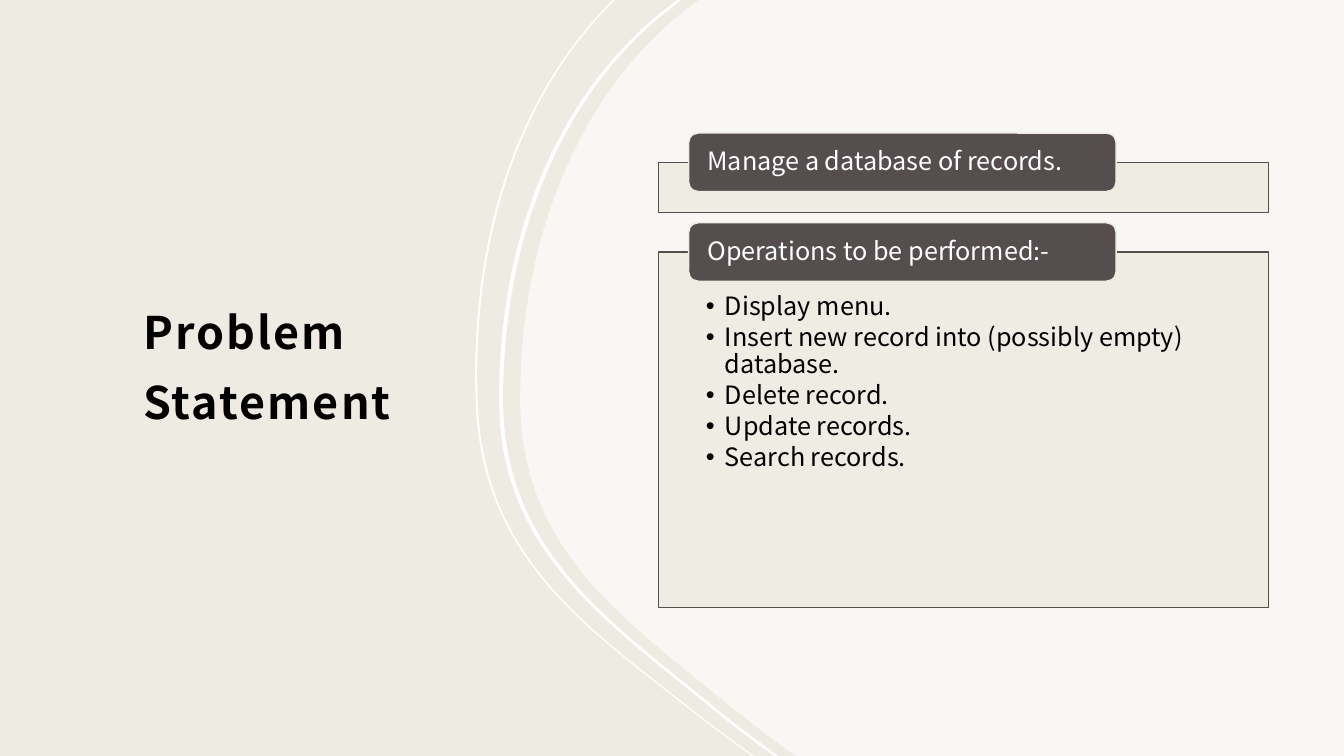
from lxml import etree
from pptx import Presentation
from pptx.dml.color import RGBColor
from pptx.enum.shapes import MSO_SHAPE
from pptx.enum.text import MSO_ANCHOR, PP_ALIGN
from pptx.oxml.ns import qn
from pptx.util import Inches, Pt

RECTANGLE, ROUNDED = MSO_SHAPE.RECTANGLE, MSO_SHAPE.ROUNDED_RECTANGLE
TOP, MIDDLE = MSO_ANCHOR.TOP, MSO_ANCHOR.MIDDLE
LEFT = PP_ALIGN.LEFT

FONT, BULLET_FONT = "Noto Sans CJK JP", "Arial"
CREAM, BROWN, WHITE, BLACK = "EEEBE2", "564E4E", "FFFFFF", "000000"
SLIDE_WIDTH, SLIDE_HEIGHT = 13.33, 7.5

# Each edge is a chain of cubic curves: a start point, then three points per curve.
PANEL_EDGE = [(6.93, 0), (5.79, 0.82), (5.16, 2.29), (5.16, 3.96),
              (5.16, 5.44), (6.17, 6.13), (7.21, 6.98),
              (7.4, 7.13), (7.65, 7.33), (7.89, 7.5)]
OUTER_EDGE = [(6.08, 0), (5.12, 0.94), (4.65, 2.4), (4.72, 4.02),
              (4.79, 5.55), (5.82, 6.23), (6.87, 7.06),
              (7.06, 7.21), (7.25, 7.35), (7.46, 7.5)]
INNER_EDGE = [(6.72, 0), (5.57, 0.83), (4.95, 2.29), (4.95, 3.96),
              (4.95, 5.43), (5.96, 6.13), (6.99, 6.97),
              (7.18, 7.13), (7.44, 7.33), (7.68, 7.5)]

OPERATIONS = ["Display menu.",
              "Insert new record into (possibly empty) database.",
              "Delete record.", "Update records.", "Search records."]


def color(hex_string):
    return RGBColor.from_string(hex_string)


def paint(shape, fill, line=None, opacity=100):
    shape.shadow.inherit = False
    shape.fill.solid()
    shape.fill.fore_color.rgb = color(fill)
    if opacity < 100:
        solid = shape.fill._xPr.find(qn("a:solidFill"))
        etree.SubElement(solid[0], qn("a:alpha"), val=str(opacity * 1000))
    if line:
        shape.line.color.rgb = color(line)
        shape.line.width = Pt(1)
    else:
        shape.line.fill.background()


def set_frame(shape, insets, anchor):
    frame = shape.text_frame
    frame.word_wrap = True
    frame.vertical_anchor = anchor
    (frame.margin_left, frame.margin_top,
     frame.margin_right, frame.margin_bottom) = map(Inches, insets)
    return frame


def write(para, text, size, text_color, spacing, bold=False):
    para.text = text
    para.alignment = LEFT
    para.line_spacing = spacing
    span = para.runs[0]
    span.font.name = FONT
    span.font.size = Pt(size)
    span.font.bold = bold
    span.font.color.rgb = color(text_color)
    return span


def add_bullet(para):
    properties = para._p.get_or_add_pPr()
    properties.set("marL", str(Inches(0.19)))
    properties.set("indent", str(-Inches(0.19)))
    etree.SubElement(properties, qn("a:buFont"), typeface=BULLET_FONT)
    etree.SubElement(properties, qn("a:buChar"), char="•")


def curves(edge):
    """Split an edge into one three-point segment per curve."""
    return [edge[i:i + 3] for i in range(1, len(edge), 3)]


def add_outline(slide, start, segments, opacity=100):
    """Closed shape of segments: one point for a line, three for a cubic curve."""
    def to_emu(point):
        return Inches(point[0]), Inches(point[1])

    builder = slide.shapes.build_freeform(*to_emu(start))
    builder.add_line_segments([to_emu(segment[-1]) for segment in segments])
    shape = builder.convert_to_shape()
    lines = list(shape._element.iter(qn("a:lnTo")))
    for line, segment in zip(lines, segments):
        if len(segment) == 3:
            curve = etree.Element(qn("a:cubicBezTo"))
            for x, y in map(to_emu, segment):
                etree.SubElement(curve, qn("a:pt"),
                                 x=str(x - shape.left), y=str(y - shape.top))
            line.getparent().replace(line, curve)
    paint(shape, WHITE, opacity=opacity)


def add_ribbon(slide, edge, width):
    back = [(x + width, y) for x, y in reversed(edge)]
    add_outline(slide, edge[0], curves(edge) + [back[:1]] + curves(back))


def add_backdrop(slide):
    slide.background.fill.solid()
    slide.background.fill.fore_color.rgb = color(CREAM)
    right_side = [[(SLIDE_WIDTH, SLIDE_HEIGHT)], [(SLIDE_WIDTH, 0)]]
    add_outline(slide, PANEL_EDGE[0], curves(PANEL_EDGE) + right_side, opacity=60)
    add_ribbon(slide, OUTER_EDGE, 0.02)
    add_ribbon(slide, INNER_EDGE, 0.04)


def add_title(slide, text, left, top, width, height):
    box = slide.shapes.add_textbox(*map(Inches, (left, top, width, height)))
    frame = set_frame(box, (0.12, 0.12, 0.12, 0.1), MIDDLE)
    para = frame.paragraphs[0]
    span = write(para, text, 32, BLACK, 1.3, bold=True)
    para.space_after = Pt(6)
    span.font._element.set("spc", "150")


def add_section(slide, heading, items, left, top, width, height):
    """Framed list with a heading tab across its top edge."""
    body = slide.shapes.add_shape(RECTANGLE, *map(Inches, (left, top, width, height)))
    paint(body, CREAM, BROWN, opacity=90)
    frame = set_frame(body, (0.47, 0.41, 0.47, 0.14), TOP)
    for index, item in enumerate(items):
        para = frame.add_paragraph() if index else frame.paragraphs[0]
        write(para, item, 18, BLACK, 0.9)
        para.space_after = Pt(2.7)
        add_bullet(para)

    tab_box = (left + 0.3, top - 0.29, 4.24, 0.58)
    tab = slide.shapes.add_shape(ROUNDED, *map(Inches, tab_box))
    paint(tab, BROWN, CREAM)
    frame = set_frame(tab, (0.16, 0, 0.16, 0), MIDDLE)
    write(frame.paragraphs[0], heading, 18, WHITE, 0.9)


def main():
    deck = Presentation()
    deck.slide_width, deck.slide_height = Inches(SLIDE_WIDTH), Inches(SLIDE_HEIGHT)
    slide = deck.slides.add_slide(deck.slide_layouts[6])
    add_backdrop(slide)
    add_title(slide, "Problem Statement", 1.3, 1.21, 3.3, 4.68)
    add_section(slide, "Manage a database of records.", [], 6.53, 1.61, 6.05, 0.5)
    add_section(slide, "Operations to be performed:-", OPERATIONS, 6.53, 2.5, 6.05, 3.53)
    deck.save("out.pptx")


if __name__ == "__main__":
    main()
